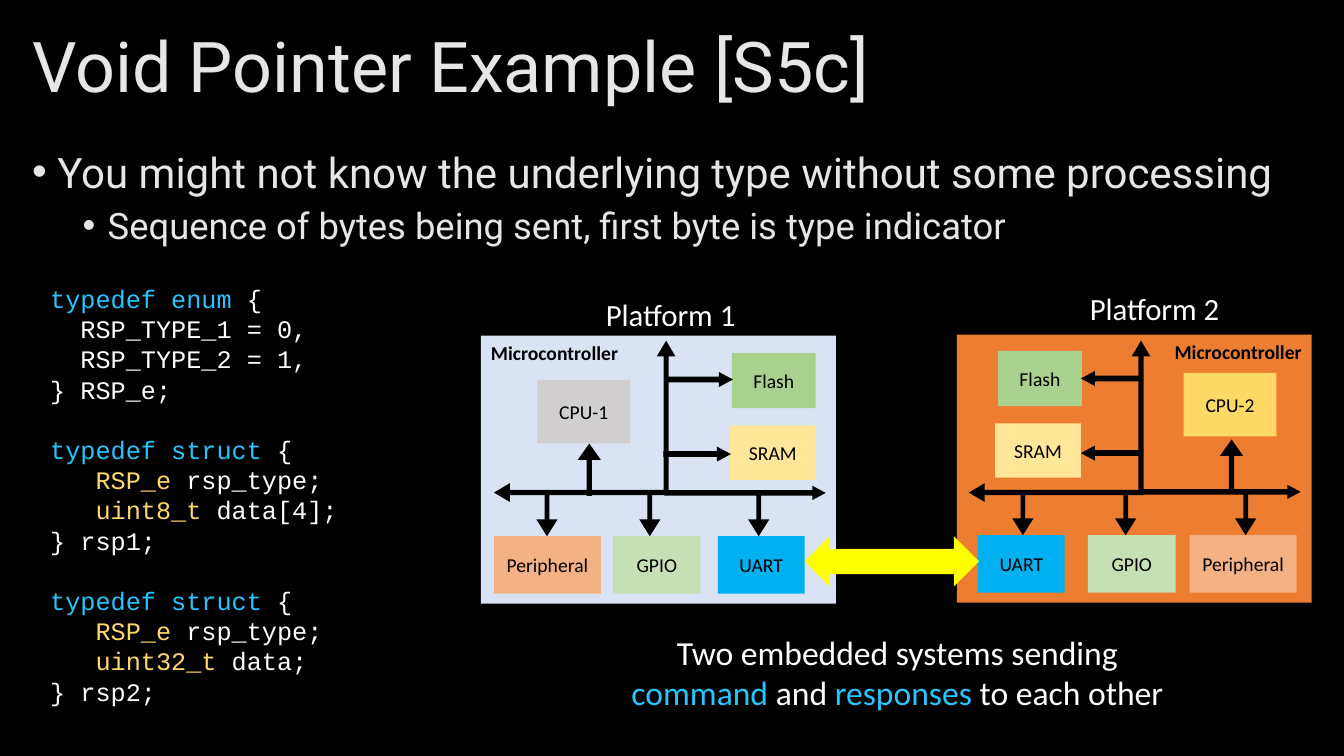
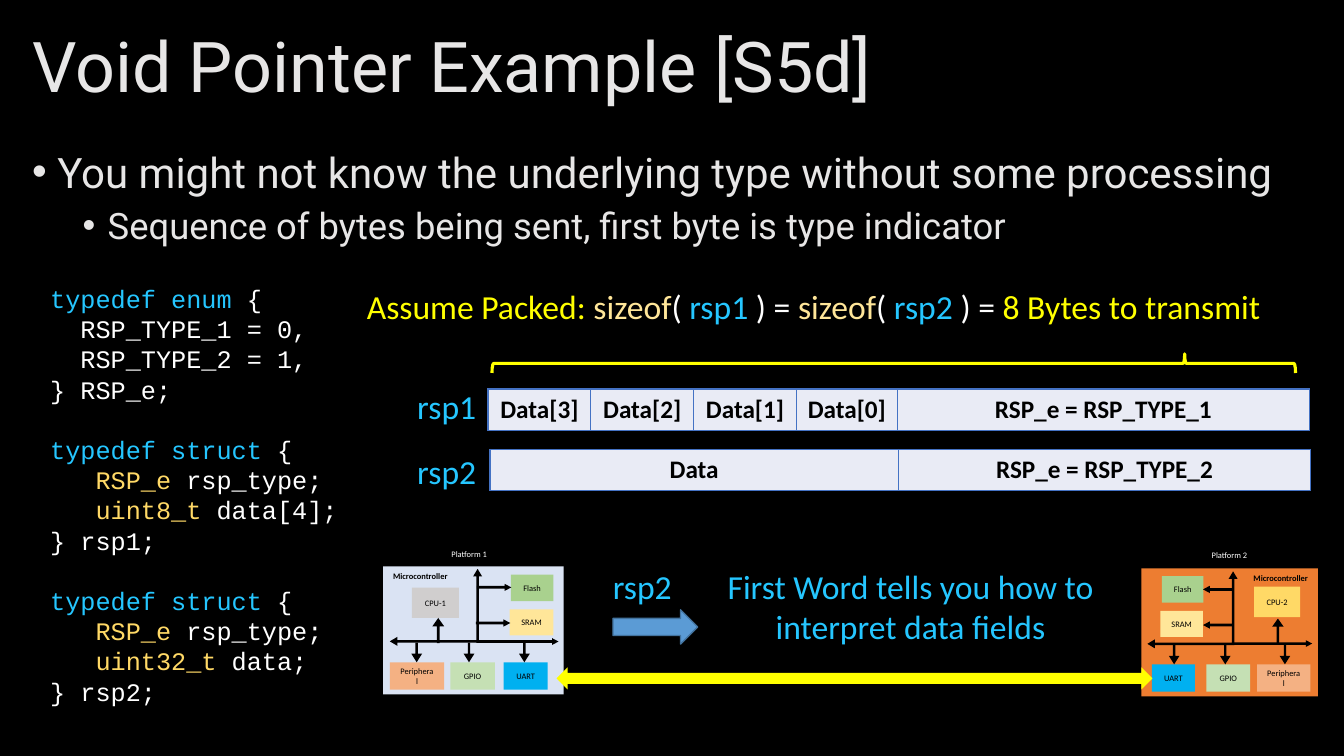
"""Two slides on void pointers: code listing, linked platforms and packed layouts."""
from pptx import Presentation
from pptx.dml.color import RGBColor
from pptx.enum.shapes import MSO_SHAPE as Shape
from pptx.enum.text import MSO_ANCHOR as Anchor, PP_ALIGN as Align
from pptx.oxml.ns import qn
from pptx.util import Inches, Pt
from lxml.etree import SubElement

BLACK = RGBColor(0x00, 0x00, 0x00)
WHITE = RGBColor(0xFF, 0xFF, 0xFF)
LIGHT = RGBColor(0xE7, 0xE6, 0xE6)
CYAN = RGBColor(0x25, 0xC6, 0xFF)
GOLD = RGBColor(0xFF, 0xD9, 0x66)
CREAM = RGBColor(0xFF, 0xE6, 0x99)
YELLOW = RGBColor(0xFF, 0xFF, 0x00)
ORANGE = RGBColor(0xED, 0x7D, 0x31)
PALE_BLUE = RGBColor(0xDA, 0xE3, 0xF3)
PALE_GREEN = RGBColor(0xC5, 0xE0, 0xB4)
GREEN = RGBColor(0xA9, 0xD1, 0x8E)
GREY = RGBColor(0xD0, 0xCE, 0xCE)
PEACH = RGBColor(0xF4, 0xB1, 0x83)
SKY = RGBColor(0x00, 0xB0, 0xF0)
ARROW_BLUE = RGBColor(0x5B, 0x9B, 0xD5)
ARROW_EDGE = RGBColor(0x43, 0x73, 0x9E)
CELL = RGBColor(0xE9, 0xEB, 0xF5)
CELL_EDGE = RGBColor(0x44, 0x72, 0xC4)

WIDTH, HEIGHT = 13.33, 7.5
SANS, HEAD, MONO = "Calibri", "Roboto", "Courier New"
CODE_SIZE, CODE_LINE, CODE_CHAR = 18, 21.5, 0.15

BULLETS = [
    ("You might not know the underlying type without some processing", 30, 0.25, 10),
    ("Sequence of bytes being sent, first byte is type indicator", 26, 0.75, 5),
]
CODE = [
    [
        (0, [("typedef enum ", CYAN), ("{", WHITE)]),
        (2, [("RSP_TYPE_1 = 0,", WHITE)]),
        (2, [("RSP_TYPE_2 = 1,", WHITE)]),
        (0, [("} RSP_e;", WHITE)]),
    ],
    *[
        [
            (0, [("typedef struct ", CYAN), ("{", WHITE)]),
            (3, [("RSP_e ", GOLD), ("rsp_type;", WHITE)]),
            (3, [(kind, GOLD), (field, WHITE)]),
            (0, [(f"}} {name};", WHITE)]),
        ]
        for kind, field, name in [("uint8_t", " data[4];", "rsp1"), ("uint32_t", " data;", "rsp2")]
    ],
]
CAPTION = [("Two embedded systems sending ", WHITE), ("command", CYAN), (" and ", WHITE),
           ("responses", CYAN), (" to each other", WHITE)]
SIZES = [("Assume Packed: ", YELLOW), ("sizeof", CREAM), ("( ", WHITE), ("rsp1", CYAN),
         (" ) = ", WHITE), ("sizeof", CREAM), ("( ", WHITE), ("rsp2 ", CYAN),
         (") = ", WHITE), ("8 Bytes to transmit", YELLOW)]
LAYOUTS = [
    (4.84, 3.86, [(f"Data[{i}]", 1.0 if i == 0 else 1.02) for i in (3, 2, 1, 0)]
     + [("RSP_e = RSP_TYPE_1", 4.09)]),
    (4.86, 4.46, [("Data", 4.05), ("RSP_e = RSP_TYPE_2", 4.09)]),
]

PANEL_W, PANEL_H = 3.52, 2.66
BLOCK = {"CPU-1": (0.92, 0.63, GREY), "CPU-2": (0.92, 0.63, GOLD), "Flash": (0.83, 0.55, GREEN),
         "SRAM": (0.85, 0.54, CREAM), "Peripheral": (1.06, 0.57, PEACH),
         "GPIO": (0.87, 0.57, PALE_GREEN), "UART": (0.86, 0.57, SKY)}
SIDE_HEAD, UP_HEAD, DOWN_HEAD = (0.382, 0.936), (0.222, 0.708), (0.222, 0.795)
PLATFORMS = [
    {
        "name": "Platform 1", "fill": PALE_BLUE, "align": Align.LEFT, "bus": (0.13, 0.05),
        "blocks": {"CPU-1": (0.56, 0.44), "Flash": (2.49, 0.17), "SRAM": (2.47, 0.89),
                   "Peripheral": (0.13, 1.99), "GPIO": (1.31, 1.99), "UART": (2.35, 1.99)},
        "cpu": (0.96, 1.07), "downs": (0.55, 1.57, 2.65),
        "memory": (Shape.RIGHT_ARROW, 0.67, [(1.83, 0.36), (1.81, 1.1)]),
    },
    {
        "name": "Platform 2", "fill": ORANGE, "align": Align.RIGHT, "bus": (0.12, 0.06),
        "blocks": {"CPU-2": (2.25, 0.38), "Flash": (0.41, 0.16), "SRAM": (0.38, 0.88),
                   "Peripheral": (2.31, 1.99), "GPIO": (1.3, 1.99), "UART": (0.21, 1.99)},
        "cpu": (2.61, 1.04), "downs": (0.55, 1.57, 2.76),
        "memory": (Shape.LEFT_ARROW, 0.59, [(1.23, 0.36), (1.23, 1.1)]),
    },
]


def write(para, runs, size, font=SANS, align=None, bold=False):
    para.alignment = align
    for words, color in runs:
        span = para.add_run()
        span.text = words
        span.font.name, span.font.size, span.font.bold = font, Pt(size), bold
        span.font.color.rgb = color


def add_text(shapes, box, runs, size, font=SANS, align=None, wrap=True):
    frame = shapes.add_textbox(*map(Inches, box)).text_frame
    frame.word_wrap = wrap
    write(frame.paragraphs[0], runs, size, font, align)
    return frame


def add_shape(shapes, kind, box, fill=None, edge=None, adjust=()):
    shape = shapes.add_shape(kind, *map(Inches, box))
    shape.shadow.inherit = False
    if fill is None:
        shape.fill.background()
    else:
        shape.fill.solid()
        shape.fill.fore_color.rgb = fill
    if edge is None:
        shape.line.fill.background()
    else:
        shape.line.color.rgb, shape.line.width = edge[0], Pt(edge[1])
    for index, value in enumerate(adjust):
        shape.adjustments[index] = value
    return shape


def set_indent(para, left, first=0, bullet=None):
    props = para._p.get_or_add_pPr()
    props.set("marL", str(Inches(left)))
    props.set("indent", str(Inches(first)))
    if bullet:
        SubElement(props, qn("a:buFont")).set("typeface", "Arial")
        SubElement(props, qn("a:buChar")).set("char", bullet)


def add_page(deck, title):
    page = deck.slides.add_slide(deck.slide_layouts[6])
    page.background.fill.solid()
    page.background.fill.fore_color.rgb = BLACK
    left, width = 0.22, 12.89
    frame = add_text(page.shapes, (left, 0.21, width, 0.97), [(title, LIGHT)], 50, HEAD)
    frame.vertical_anchor = Anchor.MIDDLE
    frame.paragraphs[0].line_spacing = 0.9

    frame = add_text(page.shapes, (left, 1.4, width, 1.76), [], 30)
    for index, (words, size, indent, before) in enumerate(BULLETS):
        para = frame.add_paragraph() if index else frame.paragraphs[0]
        para.space_before = Pt(before)
        set_indent(para, indent, -0.25, "•")
        write(para, [(words, LIGHT)], size, HEAD)

    frame = add_text(page.shapes, (0.4, 2.76, 3.2, 4.34), [], CODE_SIZE)
    for block_index, block in enumerate(CODE):
        for line_index, (chars, runs) in enumerate(block):
            first = block_index == line_index == 0
            para = frame.paragraphs[0] if first else frame.add_paragraph()
            if block_index and not line_index:
                para.space_before = Pt(CODE_LINE)
            set_indent(para, chars * CODE_CHAR)
            write(para, runs, CODE_SIZE, MONO)
    return page


def add_platform(page, platform, panel, size, label, label_size):
    left, top, width, height = panel
    across, down = width / PANEL_W, height / PANEL_H
    shapes = page.shapes.add_group_shape().shapes

    def place(kind, spot, extent, fill=BLACK, adjust=()):
        box = (left + spot[0] * across, top + spot[1] * down, extent[0] * across, extent[1] * down)
        return add_shape(shapes, kind, box, fill, adjust=adjust)

    board = place(Shape.RECTANGLE, (0, 0), (PANEL_W, PANEL_H), platform["fill"]).text_frame
    board.vertical_anchor = Anchor.TOP
    write(board.paragraphs[0], [("Microcontroller", BLACK)], size, align=platform["align"], bold=True)
    for name, spot in platform["blocks"].items():
        *extent, fill = BLOCK[name]
        block = place(Shape.RECTANGLE, spot, extent, fill)
        write(block.text_frame.paragraphs[0], [(name, BLACK)], size, align=Align.CENTER)

    bus_x, bus_y = platform["bus"]
    place(Shape.LEFT_UP_ARROW, (bus_x, bus_y), (1.8, 1.6), adjust=(0.032, 0.058, 0.098))
    place(Shape.RIGHT_ARROW, (bus_x + 1.69, 1.49), (1.6, 0.14), adjust=SIDE_HEAD)
    place(Shape.UP_ARROW, platform["cpu"], (0.23, 0.52), adjust=UP_HEAD)
    for x in platform["downs"]:
        place(Shape.DOWN_ARROW, (x, 1.58), (0.21, 0.41), adjust=DOWN_HEAD)
    kind, length, spots = platform["memory"]
    for spot in spots:
        place(kind, spot, (length, 0.15), adjust=SIDE_HEAD)
    add_text(shapes, label, [(platform["name"], WHITE)], label_size, wrap=False)


def add_layout(page, left, top, fields):
    row = 0.41
    total = sum(width for _, width in fields)
    table = page.shapes.add_table(1, len(fields), *map(Inches, (left, top, total, row))).table
    table.first_row = table.horz_banding = False
    for index, (words, width) in enumerate(fields):
        table.columns[index].width = Inches(width)
        cell = table.cell(0, index)
        write(cell.text_frame.paragraphs[0], [(words, BLACK)], 18, align=Align.CENTER, bold=True)
        props = cell._tc.get_or_add_tcPr()
        for side in ("lnL", "lnR", "lnT", "lnB"):
            edge = SubElement(props, qn(f"a:{side}"), w=str(Pt(1)))
            fill = SubElement(edge, qn("a:solidFill"))
            SubElement(fill, qn("a:srgbClr"), val=str(CELL_EDGE))
        cell.fill.solid()
        cell.fill.fore_color.rgb = CELL


def add_platforms_page(deck):
    page = add_page(deck, "Void Pointer Example [S5c]")
    places = [((4.77, 3.33), (5.91, 2.88)), ((9.49, 3.32), (10.71, 2.83))]
    for platform, (corner, label) in zip(PLATFORMS, places):
        add_platform(page, platform, (*corner, PANEL_W, PANEL_H), 14, (*label, 1.51, 0.47), 22)
    add_shape(page.shapes, Shape.LEFT_RIGHT_ARROW, (7.98, 5.32, 1.73, 0.5), YELLOW)
    add_text(page.shapes, (5.96, 6.22, 5.88, 0.91), CAPTION, 24, align=Align.CENTER)


def add_packing_page(deck):
    page = add_page(deck, "Void Pointer Example [S5d]")
    shapes = page.shapes
    add_text(shapes, (3.54, 2.79, 9.3, 0.5), SIZES, 24, wrap=False)
    for left, top, fields in LAYOUTS:
        add_layout(page, left, top, fields)
    for name, left, top in [("rsp1", 4.04, 3.78), ("rsp2", 4.04, 4.42), ("rsp2", 5.98, 5.57)]:
        add_text(shapes, (left, top, 1.07, 0.5), [(name, CYAN)], 24)
    brace = add_shape(shapes, Shape.RIGHT_BRACE, (8.77, -0.38, 0.19, 7.97),
                      edge=(YELLOW, 2.25), adjust=(0.083, 0.862))
    brace.rotation = 270

    places = [((3.8, 5.62, 1.79, 1.27), (4.38, 5.4)), ((11.32, 5.64, 1.75, 1.27), (11.92, 5.41))]
    for platform, (panel, label) in zip(PLATFORMS, places):
        add_platform(page, platform, panel, 6, (*label, 0.7, 0.26), 6)
    add_shape(shapes, Shape.LEFT_RIGHT_ARROW, (5.52, 6.62, 5.91, 0.22), YELLOW)
    add_shape(shapes, Shape.RIGHT_ARROW, (6.08, 6.05, 0.84, 0.34), ARROW_BLUE, (ARROW_EDGE, 1))
    add_text(shapes, (6.99, 5.56, 4.08, 0.91),
             [("First Word tells you how to interpret data fields", CYAN)], 24, align=Align.CENTER)


def main():
    deck = Presentation()
    deck.slide_width, deck.slide_height = Inches(WIDTH), Inches(HEIGHT)
    add_platforms_page(deck)
    add_packing_page(deck)
    deck.save("out.pptx")


if __name__ == "__main__":
    main()
